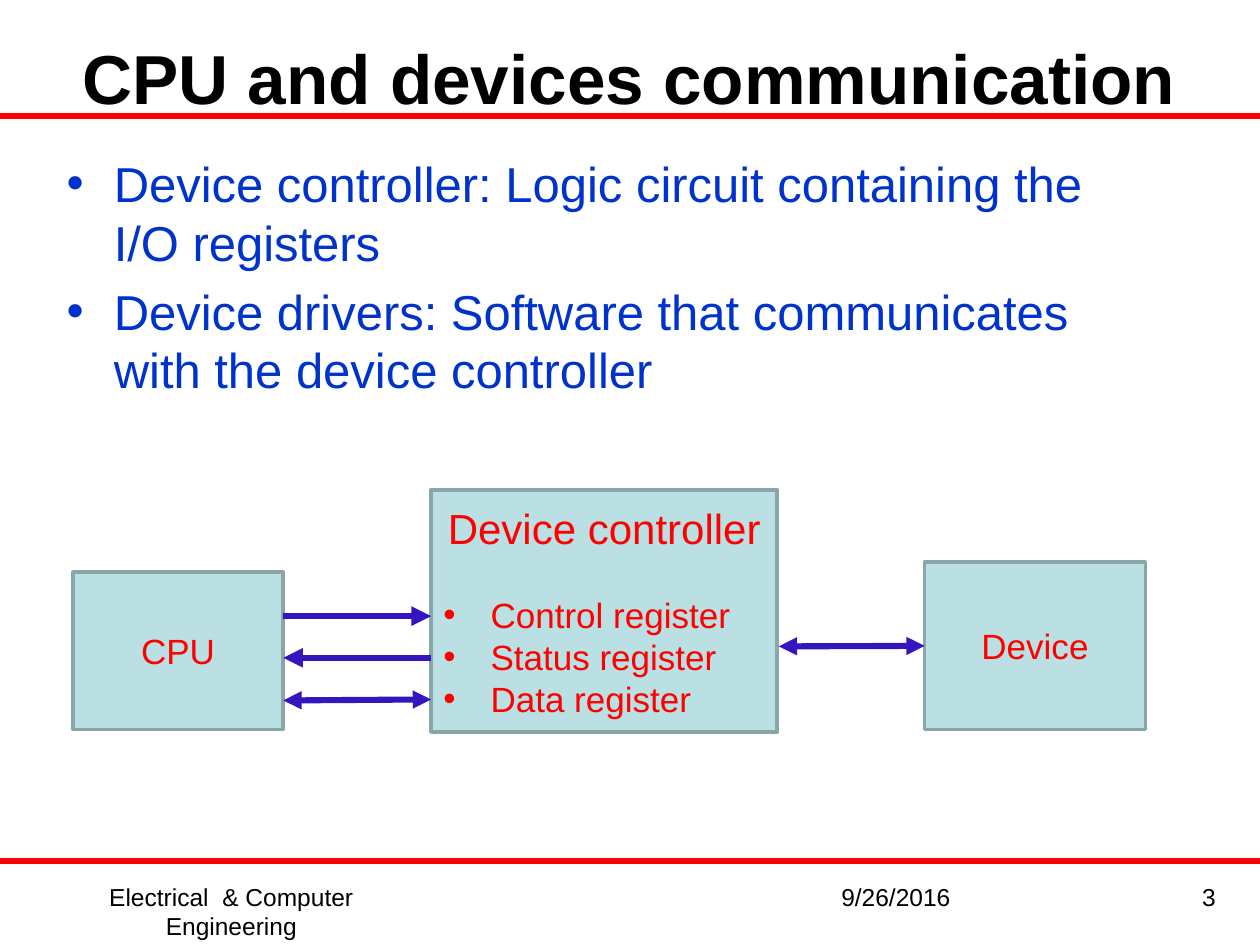
from typing import NamedTuple, Optional

from lxml import etree
from pptx import Presentation
from pptx.dml.color import RGBColor
from pptx.enum.shapes import MSO_CONNECTOR, MSO_SHAPE
from pptx.enum.text import MSO_ANCHOR, PP_ALIGN
from pptx.oxml.ns import qn
from pptx.util import Cm, Pt

STRAIGHT = MSO_CONNECTOR.STRAIGHT
RECTANGLE = MSO_SHAPE.RECTANGLE
TOP, MIDDLE = MSO_ANCHOR.TOP, MSO_ANCHOR.MIDDLE
LEFT, CENTER, RIGHT = PP_ALIGN.LEFT, PP_ALIGN.CENTER, PP_ALIGN.RIGHT

FONT = "Arial"
COLORS = {
    "black": "000000",
    "list": "0033CC",
    "rule": "FF0000",
    "label": "FF0000",
    "box": "BBE0E3",
    "border": "8AA6A8",
    "arrow": "3515BD",
}
SLIDE_WIDTH, SLIDE_HEIGHT = 25.4, 19.05
BULLET_INDENT = Cm(0.95)
LEFT_SIDE = 1


class Area(NamedTuple):
    left: float
    top: float
    width: float
    height: float


class Line(NamedTuple):
    text: str
    size: float
    color: str
    align: PP_ALIGN = LEFT
    bold: bool = False
    bullet: bool = False
    before: float = 0
    after: float = 0


class Box(NamedTuple):
    area: Area
    lines: list[Line]


class Arrow(NamedTuple):
    start: tuple[float, float]
    end: tuple[float, float]
    width: float
    both_ways: bool = False


def color(name: str) -> RGBColor:
    return RGBColor.from_string(COLORS[name])


def place(shape, area: Area) -> None:
    for name, value in area._asdict().items():
        setattr(shape, name, Cm(value))


def add_bullet(paragraph) -> None:
    properties = paragraph._p.get_or_add_pPr()
    properties.set("marL", str(BULLET_INDENT))
    properties.set("indent", str(-BULLET_INDENT))
    etree.SubElement(properties, qn("a:buFont")).set("typeface", FONT)
    etree.SubElement(properties, qn("a:buChar")).set("char", "•")


def write(shape, lines: list[Line], anchor: MSO_ANCHOR = TOP) -> None:
    frame = shape.text_frame
    frame.word_wrap = True
    frame.vertical_anchor = anchor
    for index, line in enumerate(lines):
        paragraph = frame.add_paragraph() if index else frame.paragraphs[0]
        spacing = {
            "alignment": line.align,
            "space_before": Pt(line.before),
            "space_after": Pt(line.after),
        }
        for name, value in spacing.items():
            setattr(paragraph, name, value)
        if line.bullet:
            add_bullet(paragraph)
        run = paragraph.add_run()
        run.text = line.text
        run.font.color.rgb = color(line.color)
        for name, value in {"name": FONT, "size": Pt(line.size), "bold": line.bold}.items():
            setattr(run.font, name, value)


def add_box(slide, box: Box):
    shape = slide.shapes.add_shape(RECTANGLE, *map(Cm, box.area))
    shape.shadow.inherit = False
    shape.fill.solid()
    shape.fill.fore_color.rgb = color("box")
    shape.line.color.rgb = color("border")
    shape.line.width = Pt(2)
    write(shape, box.lines, MIDDLE)
    return shape


def add_line(slide, start: tuple[float, float], end: tuple[float, float],
             color_name: str, width: float):
    connector = slide.shapes.add_connector(STRAIGHT, *map(Cm, start + end))
    connector.line.color.rgb = color(color_name)
    connector.line.width = Pt(width)
    etree.SubElement(connector._element.spPr, qn("a:effectLst"))
    return connector


def add_arrow(slide, arrow: Arrow, source: Optional[object] = None) -> None:
    """Draw an arrow, joined to the left side of source if one is given."""
    connector = add_line(slide, arrow.start, arrow.end, "arrow", arrow.width)
    outline = connector.line._get_or_add_ln()
    for tag in ("a:headEnd", "a:tailEnd") if arrow.both_ways else ("a:tailEnd",):
        etree.SubElement(outline, qn(tag)).set("type", "triangle")
    if source is not None:
        connector.begin_connect(source, LEFT_SIDE)


TITLE = Box(Area(0.2, 0.76, 24.97, 1.57),
            [Line("CPU and devices communication", 39.6, "black", CENTER, bold=True)])
DEFINITIONS = Box(Area(1.09, 2.97, 21.79, 13.13), [
    Line(text, 28, "list", bullet=True, before=5.6)
    for text in (
        "Device controller: Logic circuit containing the I/O registers",
        "Device drivers: Software that communicates with the device controller",
    )
])
FOOTER_TOP, FOOTER_HEIGHT = 17.65, 1.32
FOOTERS = [
    Box(Area(left, FOOTER_TOP, width, FOOTER_HEIGHT), [Line(text, 14, "black", align)])
    for left, width, text, align in (
        (16.71, 5.92, "9/26/2016", LEFT),
        (0.64, 8.05, "Electrical  & Computer Engineering", CENTER),
        (23.29, 1.47, "3", RIGHT),
    )
]
RULE_TOPS = (2.34, 17.35)

CONTROLLER = Box(Area(8.69, 9.88, 6.98, 4.88), [
    Line("Device controller", 24, "label", CENTER, after=23),
    *(Line(f"{register} register", 20, "label", bullet=True)
      for register in ("Control", "Status", "Data")),
])
DEVICE = Box(Area(18.64, 11.33, 4.45, 3.38), [Line("Device", 20, "label", CENTER)])
CPU = Box(Area(1.47, 11.53, 4.24, 3.18), [Line("CPU", 20, "label", CENTER)])

CPU_EDGE = CPU.area.left + CPU.area.width
CONTROLLER_EDGE = CONTROLLER.area.left
REGISTER_ARROWS = [
    Arrow((CPU_EDGE, 12.42), (CONTROLLER_EDGE, 12.42), 3.75),
    Arrow((CONTROLLER_EDGE, 13.26), (CPU_EDGE, 13.26), 3.75),
    Arrow((CONTROLLER_EDGE, 14.1), (CPU_EDGE, 14.12), 3.5, both_ways=True),
]
DEVICE_ARROW = Arrow((DEVICE.area.left, 13.02), (15.7, 13.03), 3.5, both_ways=True)


def main() -> None:
    presentation = Presentation()
    presentation.slide_width = Cm(SLIDE_WIDTH)
    presentation.slide_height = Cm(SLIDE_HEIGHT)
    slide = presentation.slides.add_slide(presentation.slide_layouts[1])

    for top in RULE_TOPS:
        add_line(slide, (0, top), (SLIDE_WIDTH, top), "rule", 3.5)

    title, definitions = slide.shapes.title, slide.placeholders[1]
    for placeholder, content, anchor in (
        (title, TITLE, MIDDLE),
        (definitions, DEFINITIONS, TOP),
    ):
        place(placeholder, content.area)
        write(placeholder, content.lines, anchor)

    for footer in FOOTERS:
        write(slide.shapes.add_textbox(*map(Cm, footer.area)), footer.lines)

    add_box(slide, CONTROLLER)
    device = add_box(slide, DEVICE)
    add_box(slide, CPU)
    for arrow in REGISTER_ARROWS:
        add_arrow(slide, arrow)
    add_arrow(slide, DEVICE_ARROW, device)

    presentation.save("out.pptx")


if __name__ == "__main__":
    main()
